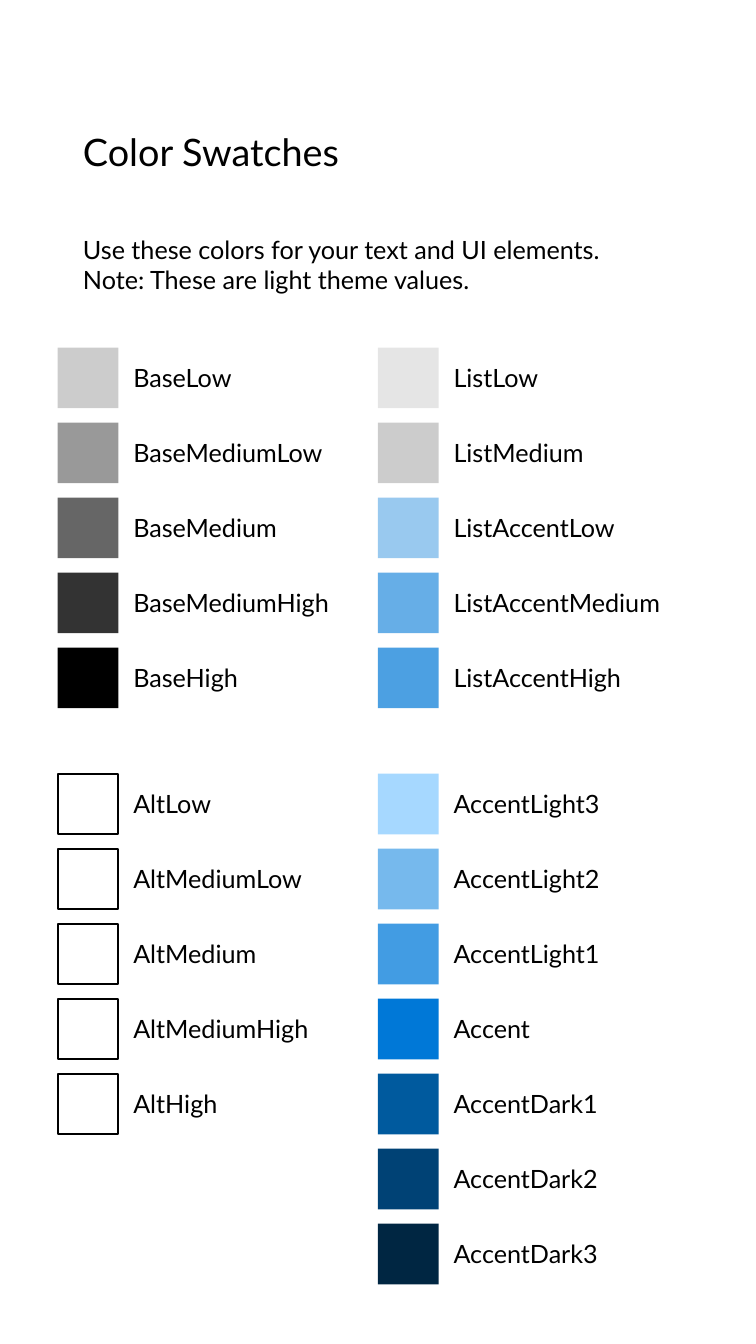
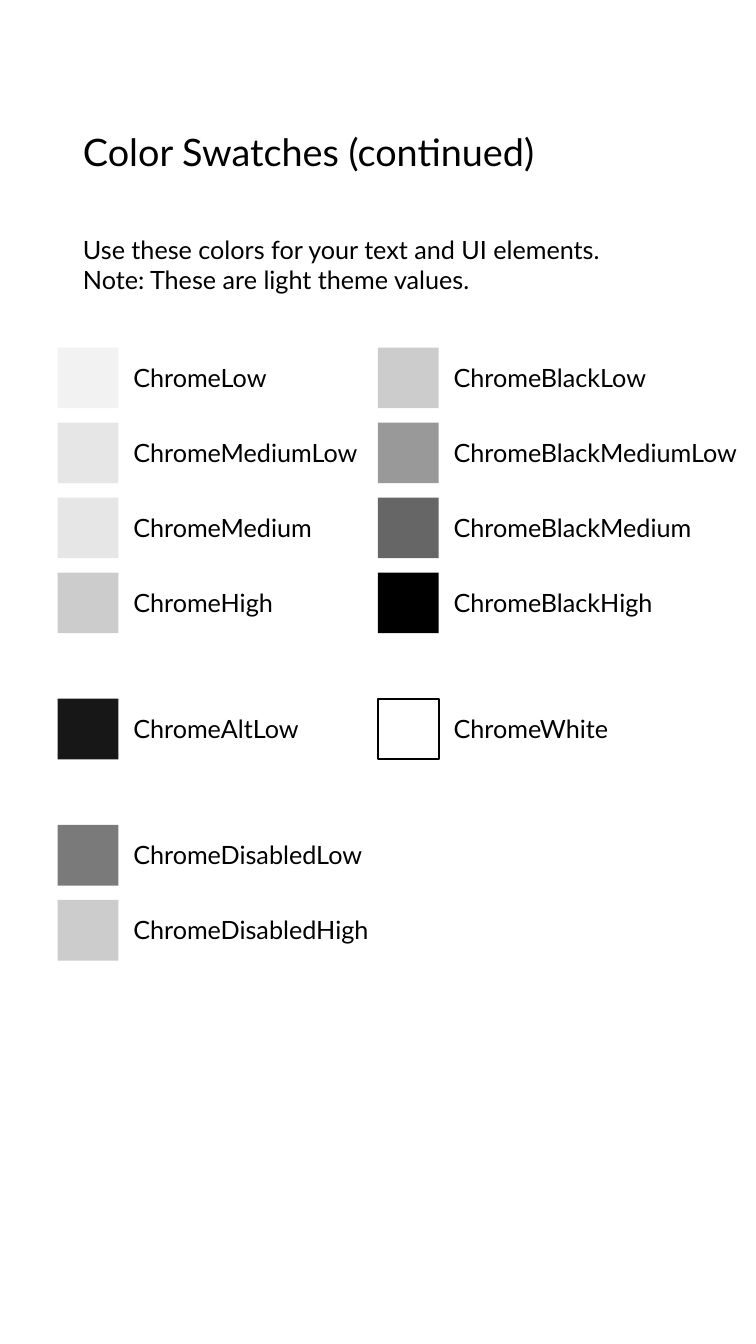
from lxml import etree
from pptx import Presentation
from pptx.dml.color import RGBColor
from pptx.enum import shapes, text
from pptx.oxml import ns
from pptx.util import Cm, Pt

COLORS = {
    "black": "000000",
    "white": "FFFFFF",
    "accent light 3": "A6D8FF",
    "accent light 2": "76B9ED",
    "accent light 1": "429CE3",
    "accent": "0078D7",
    "accent dark 1": "005A9E",
    "accent dark 2": "004275",
    "accent dark 3": "002642",
    "chrome low": "F2F2F2",
    "chrome medium": "E6E6E6",
    "chrome high": "CCCCCC",
    "chrome alt": "171717",
    "chrome disabled": "7A7A7A",
}
FONT = "Lato"
INTRO = "Use these colors for your text and UI elements. Note: These are light theme values."

# Each slide has two columns; each column is a list of groups of (label, color, opacity).
SLIDES = [
    ("Color Swatches", [
        [
            [
                ("BaseLow", "black", 20),
                ("BaseMediumLow", "black", 40),
                ("BaseMedium", "black", 60),
                ("BaseMediumHigh", "black", 80),
                ("BaseHigh", "black", 100),
            ],
            [
                ("AltLow", "white", 20),
                ("AltMediumLow", "white", 40),
                ("AltMedium", "white", 60),
                ("AltMediumHigh", "white", 80),
                ("AltHigh", "white", 100),
            ],
        ],
        [
            [
                ("ListLow", "black", 10),
                ("ListMedium", "black", 20),
                ("ListAccentLow", "accent", 40),
                ("ListAccentMedium", "accent", 60),
                ("ListAccentHigh", "accent", 70),
            ],
            [
                ("AccentLight3", "accent light 3", 100),
                ("AccentLight2", "accent light 2", 100),
                ("AccentLight1", "accent light 1", 100),
                ("Accent", "accent", 100),
                ("AccentDark1", "accent dark 1", 100),
                ("AccentDark2", "accent dark 2", 100),
                ("AccentDark3", "accent dark 3", 100),
            ],
        ],
    ]),
    ("Color Swatches (continued)", [
        [
            [
                ("ChromeLow", "chrome low", 100),
                ("ChromeMediumLow", "chrome medium", 100),
                ("ChromeMedium", "chrome medium", 100),
                ("ChromeHigh", "chrome high", 100),
            ],
            [("ChromeAltLow", "chrome alt", 100)],
            [
                ("ChromeDisabledLow", "chrome disabled", 100),
                ("ChromeDisabledHigh", "chrome high", 100),
            ],
        ],
        [
            [
                ("ChromeBlackLow", "black", 20),
                ("ChromeBlackMediumLow", "black", 40),
                ("ChromeBlackMedium", "black", 60),
                ("ChromeBlackHigh", "black", 100),
            ],
            [("ChromeWhite", "white", 100)],
        ],
    ]),
]

COLUMN_LEFTS = (0.97, 6.35)
FIRST_TOP = 5.84
ROW_STEP = 1.26
GROUP_GAP = 0.86
SWATCH_SIZE = 1.02
LABEL_DROP = 0.12
LABEL_HEIGHT = 0.76
LABEL_WIDTH = 4.57
LONG_LABEL_WIDTH = 5.33
LONG_LABEL = 18


def rgb(name):
    return RGBColor.from_string(COLORS[name])


def write(shape, content, size):
    frame = shape.text_frame
    frame.text = content
    frame.word_wrap = True
    frame.auto_size = text.MSO_AUTO_SIZE.SHAPE_TO_FIT_TEXT
    frame.vertical_anchor = text.MSO_ANCHOR.TOP
    paragraph = frame.paragraphs[0]
    paragraph.alignment = text.PP_ALIGN.LEFT
    paragraph.space_before = Pt(0)
    font = paragraph.runs[0].font
    font.name = FONT
    font.size = Pt(size)
    font.color.rgb = rgb("black")
    return paragraph


def place(shape, left, top, width, height):
    shape.left, shape.top = Cm(left), Cm(top)
    shape.width, shape.height = Cm(width), Cm(height)


def remove_bullet(paragraph):
    properties = paragraph._p.get_or_add_pPr()
    properties.set("marL", "0")
    properties.set("indent", "0")
    etree.SubElement(properties, ns.qn("a:buNone"))


def set_opacity(shape, percent):
    color = shape.fill._xPr.find(ns.qn("a:solidFill"))[0]
    etree.SubElement(color, ns.qn("a:alpha")).set("val", str(percent * 1000))


def add_swatch(slide, left, top, label, color, opacity):
    group = slide.shapes.add_group_shape()
    swatch = group.shapes.add_shape(
        shapes.MSO_SHAPE.RECTANGLE, Cm(left), Cm(top), Cm(SWATCH_SIZE), Cm(SWATCH_SIZE))
    swatch.shadow.inherit = False
    swatch.fill.solid()
    swatch.fill.fore_color.rgb = rgb(color)
    if opacity < 100:
        set_opacity(swatch, opacity)
    if color == "white":
        swatch.line.color.rgb = rgb("black")
        swatch.line.width = Pt(1)
    else:
        swatch.line.fill.background()
    width = LONG_LABEL_WIDTH if len(label) > LONG_LABEL else LABEL_WIDTH
    caption = group.shapes.add_textbox(
        Cm(left + SWATCH_SIZE), Cm(top + LABEL_DROP), Cm(width), Cm(LABEL_HEIGHT))
    write(caption, label, 12)


def add_column(slide, left, groups):
    top = FIRST_TOP
    for group in groups:
        for label, color, opacity in group:
            add_swatch(slide, left, top, label, color, opacity)
            top += ROW_STEP
        top += GROUP_GAP


def add_swatch_slide(presentation, heading, columns):
    slide = presentation.slides.add_slide(presentation.slide_layouts[1])
    title, body = slide.shapes.title, slide.placeholders[1]
    place(title, 1.14, 2.03, 10.44, 1.02)
    write(title, heading, 18)
    place(body, 1.14, 3.81, 9.4, 1.27)
    remove_bullet(write(body, INTRO, 12))
    for left, groups in zip(COLUMN_LEFTS, columns):
        add_column(slide, left, groups)


def main():
    presentation = Presentation()
    presentation.slide_width = Cm(12.7)
    presentation.slide_height = Cm(22.58)
    for heading, columns in SLIDES:
        add_swatch_slide(presentation, heading, columns)
    presentation.save("out.pptx")


if __name__ == "__main__":
    main()
